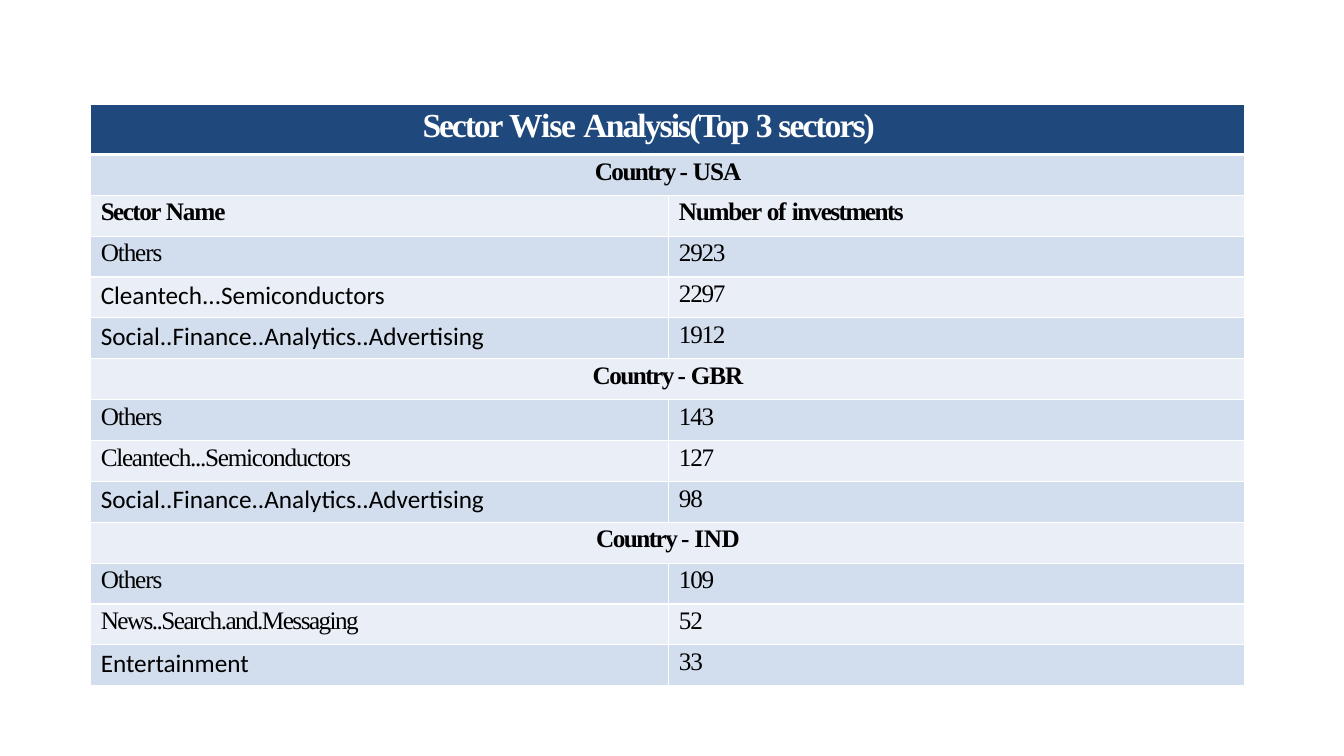
from pptx import Presentation
from pptx.dml.color import RGBColor
from pptx.enum import text
from pptx.oxml import parse_xml
from pptx.oxml.ns import nsdecls
from pptx.util import Cm, Pt

HUES = {"head": "1F497D", "odd": "D2DEEE", "even": "EAEEF7",
        "white": "FFFFFF", "black": "000000"}
SERIF, SANS = "Times New Roman", "Calibri"

TITLE = [("Sector ", -1.5), ("Wise ", -0.8), ("Analysis(Top ", -1.4),
         ("3 ", -1.9), ("sectors)", -1.4)]
LABELS = [[("Sector ", -1.1), ("Name", -0.8)],
          [("Number ", -0.9), ("of ", -0.8), ("investments", -1.1)]]
# Country, letter spacing of its code, then (sector, count, font, spacing)
GROUPS = [
    ("USA", -0.7, [
        ("Others", "2923", SERIF, -0.8),
        ("Cleantech...Semiconductors", "2297", SANS, 0),
        ("Social..Finance..Analytics..Advertising", "1912", SANS, 0)]),
    ("GBR", -0.7, [
        ("Others", "143", SERIF, -0.8),
        ("Cleantech...Semiconductors", "127", SERIF, -0.9),
        ("Social..Finance..Analytics..Advertising", "98", SANS, 0)]),
    ("IND", -0.2, [
        ("Others", "109", SERIF, -0.8),
        ("News..Search.and.Messaging", "52", SERIF, -1.1),
        ("Entertainment", "33", SANS, 0)]),
]


def rgb(name):
    return RGBColor.from_string(HUES[name])


def write(cell, runs, font=SERIF, size=18, hue="black", bold=False,
          indent=Cm(0.27), center=False):
    """Fill a cell with (words, letter spacing in points) runs."""
    para = cell.text_frame.paragraphs[0]
    para.space_before = Pt(2.5)
    para.alignment = text.PP_ALIGN.CENTER if center else text.PP_ALIGN.LEFT
    para._p.get_or_add_pPr().set("marL", str(indent))
    for words, gap in runs:
        run = para.add_run()
        run.text = words
        run.font.name = font
        run.font.size = Pt(size)
        run.font.bold = bold
        run.font.color.rgb = rgb(hue)
        run._r.get_or_add_rPr().set("spc", str(round(gap * 100)))


def border(cell, top, bottom):
    """Draw white cell edges; top and bottom are widths in points."""
    props = cell._tc.get_or_add_tcPr()
    for side, width in (("L", 1), ("R", 1), ("T", top), ("B", bottom)):
        props.append(parse_xml(
            f'<a:ln{side} {nsdecls("a")} w="{Pt(width)}"><a:solidFill>'
            f'<a:srgbClr val="{HUES["white"]}"/></a:solidFill></a:ln{side}>'))


def style(table):
    """Set insets, edges and banded fills of every cell."""
    for r, row in enumerate(table.rows):
        for cell in row.cells:
            cell.margin_left = cell.margin_right = cell.margin_bottom = 0
            cell.margin_top = Cm(0.08)
            border(cell, 3 if r == 1 else 1, 3 if r == 0 else 1)
            cell.fill.solid()
            band = "odd" if r % 2 else "even"
            cell.fill.fore_color.rgb = rgb(band if r else "head")


def span(table, row):
    cell = table.cell(row, 0)
    cell.merge(table.cell(row, 1))
    return cell


def fill(table):
    """Write the heading, column labels and country groups."""
    write(span(table, 0), TITLE, size=24, hue="white", bold=True,
          indent=Cm(8.38))
    row = 1
    for code, gap, sectors in GROUPS:
        write(span(table, row), [("Country - ", -1.1), (code, gap)],
              bold=True, indent=Cm(0.03), center=True)
        row += 1
        if row == 2:
            for col, runs in enumerate(LABELS):
                write(table.cell(row, col), runs, bold=True)
            row += 1
        for name, count, font, space in sectors:
            write(table.cell(row, 0), [(name, space)], font=font)
            write(table.cell(row, 1), [(count, -0.9)])
            row += 1


def add_table(slide):
    count = 2 + sum(1 + len(group[2]) for group in GROUPS)
    frame = slide.shapes.add_table(count, 2, Cm(2.27), Cm(2.62),
                                   Cm(29.1), Cm(14.66))
    table = frame.table
    table.first_row = table.horz_banding = False
    for col, width in zip(table.columns, (14.57, 14.53)):
        col.width = Cm(width)
    for r, row in enumerate(table.rows):
        row.height = Cm(1.03 if r else 1.27)
    style(table)
    fill(table)


def main():
    deck = Presentation()
    deck.slide_width, deck.slide_height = Cm(33.87), Cm(19.05)
    add_table(deck.slides.add_slide(deck.slide_layouts[6]))
    deck.save("out.pptx")


if __name__ == "__main__":
    main()
